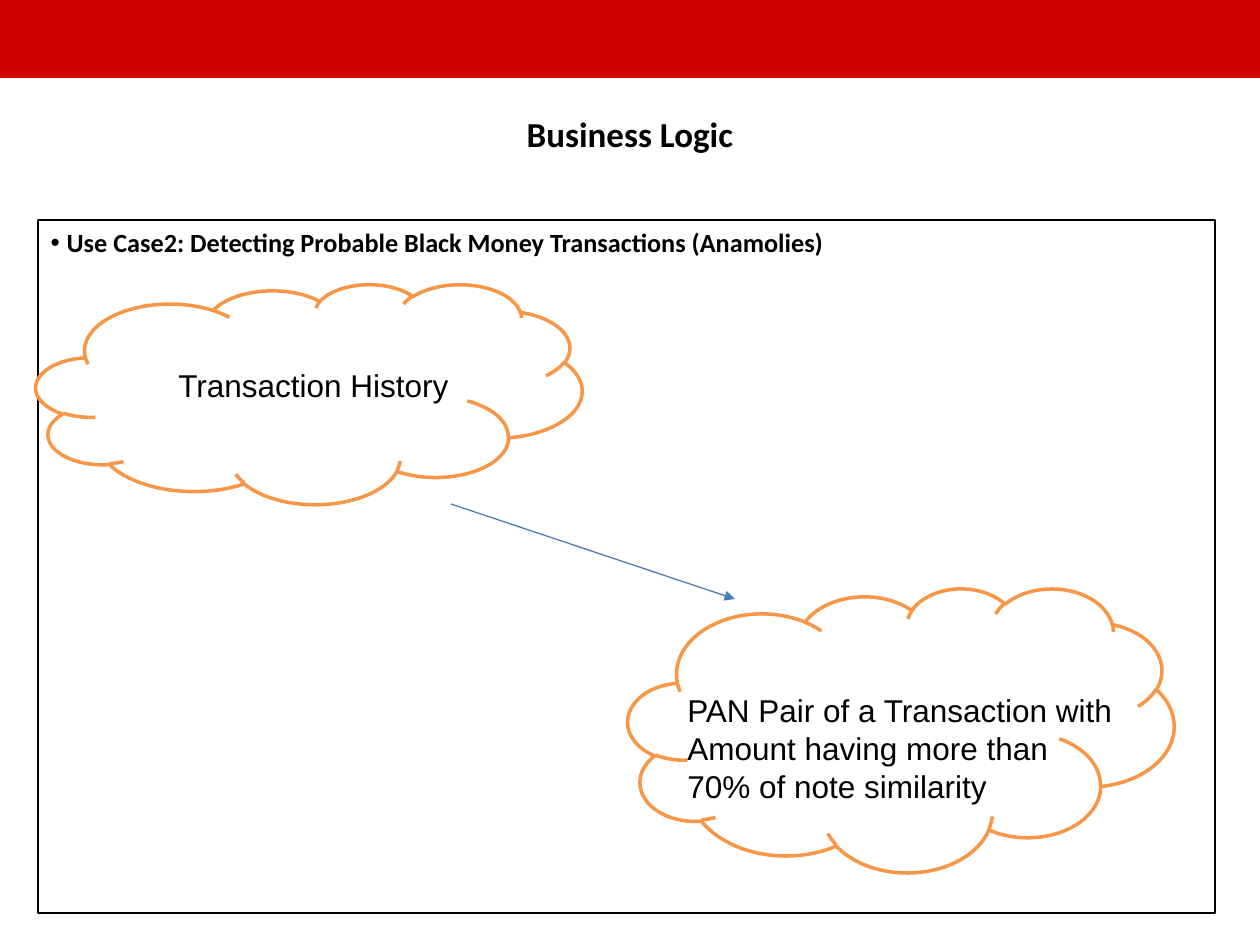
from lxml import etree
from pptx import Presentation
from pptx.dml.color import RGBColor
from pptx.enum.shapes import MSO_CONNECTOR, MSO_SHAPE
from pptx.enum.text import MSO_ANCHOR, MSO_AUTO_SIZE, PP_ALIGN
from pptx.oxml.ns import qn
from pptx.util import Emu, Pt

PX = 914400 / 126
RECTANGLE, CLOUD = MSO_SHAPE.RECTANGLE, MSO_SHAPE.CLOUD
STRAIGHT = MSO_CONNECTOR.STRAIGHT
TOP, MIDDLE = MSO_ANCHOR.TOP, MSO_ANCHOR.MIDDLE
LEFT, CENTER = PP_ALIGN.LEFT, PP_ALIGN.CENTER
NO_AUTOFIT = MSO_AUTO_SIZE.NONE

RED = RGBColor(0xCD, 0x00, 0x02)
BLACK = RGBColor(0x00, 0x00, 0x00)
WHITE = RGBColor(0xFF, 0xFF, 0xFF)
ORANGE = RGBColor(0xF7, 0x96, 0x46)
BLUE = RGBColor(0x4A, 0x7E, 0xBB)

SLIDE_SIZE = (1260, 945)
BANNER = (0, 0, 1260, 78)
TITLE = ("Business Logic", (63, 95, 1134, 78))
USE_CASE = ("Use Case2: Detecting Probable Black Money Transactions (Anamolies)",
            (38, 220, 1177, 693))
# Each step: cloud box, text box, wording
STEPS = [
    ((36, 284, 546, 220), (166, 360, 305, 50), "Transaction History"),
    ((628, 588, 546, 284), (675, 685, 452, 126),
     "PAN Pair of a Transaction with Amount having more than 70% of note similarity"),
]
ARROW = (451, 504, 735, 599)


def emu(lengths):
    return [Emu(round(length * PX)) for length in lengths]


def place(shape, box):
    shape.left, shape.top, shape.width, shape.height = emu(box)


def write(shape, text, size, font="Arial", bold=False, align=LEFT, anchor=TOP, bullet=False):
    frame = shape.text_frame
    frame.word_wrap = True
    frame.auto_size = NO_AUTOFIT
    frame.vertical_anchor = anchor
    paragraph = frame.paragraphs[0]
    paragraph.text = text
    paragraph.alignment = align
    paragraph.space_before = Pt(0)
    if bullet:
        properties = paragraph._p.get_or_add_pPr()
        indent = emu([16])[0]
        properties.set("marL", str(indent))
        properties.set("indent", str(-indent))
        etree.SubElement(properties, qn("a:buChar")).set("char", "•")
    run_font = paragraph.runs[0].font
    run_font.name, run_font.size, run_font.bold = font, Pt(size), bold
    run_font.color.rgb = BLACK


def add_shape(slide, kind, box, fill, line=None):
    shape = slide.shapes.add_shape(kind, *emu(box))
    shape.shadow.inherit = False
    shape.fill.solid()
    shape.fill.fore_color.rgb = fill
    if line is None:
        shape.line.fill.background()
    else:
        shape.line.color.rgb = line
        shape.line.width = Pt(2)


def add_arrow(slide, ends):
    arrow = slide.shapes.add_connector(STRAIGHT, *emu(ends))
    arrow.line.color.rgb = BLUE
    arrow.line.width = Pt(0.75)
    etree.SubElement(arrow.line._get_or_add_ln(), qn("a:tailEnd")).set("type", "triangle")
    etree.SubElement(arrow._element.spPr, qn("a:effectLst"))


def main():
    presentation = Presentation()
    presentation.slide_width, presentation.slide_height = emu(SLIDE_SIZE)
    slide = presentation.slides.add_slide(presentation.slide_layouts[1])
    title, body = slide.placeholders

    add_shape(slide, RECTANGLE, BANNER, RED)

    text, box = TITLE
    place(title, box)
    write(title, text, 20, font="Calibri", bold=True, align=CENTER, anchor=MIDDLE)

    text, box = USE_CASE
    place(body, box)
    body.line.color.rgb = BLACK
    body.line.width = Pt(0.75)
    write(body, text, 15, font="Calibri", bold=True, bullet=True)

    for cloud_box, text_box, text in STEPS:
        add_shape(slide, CLOUD, cloud_box, WHITE, ORANGE)
        write(slide.shapes.add_textbox(*emu(text_box)), text, 18)

    add_arrow(slide, ARROW)
    presentation.save("out.pptx")


if __name__ == "__main__":
    main()
